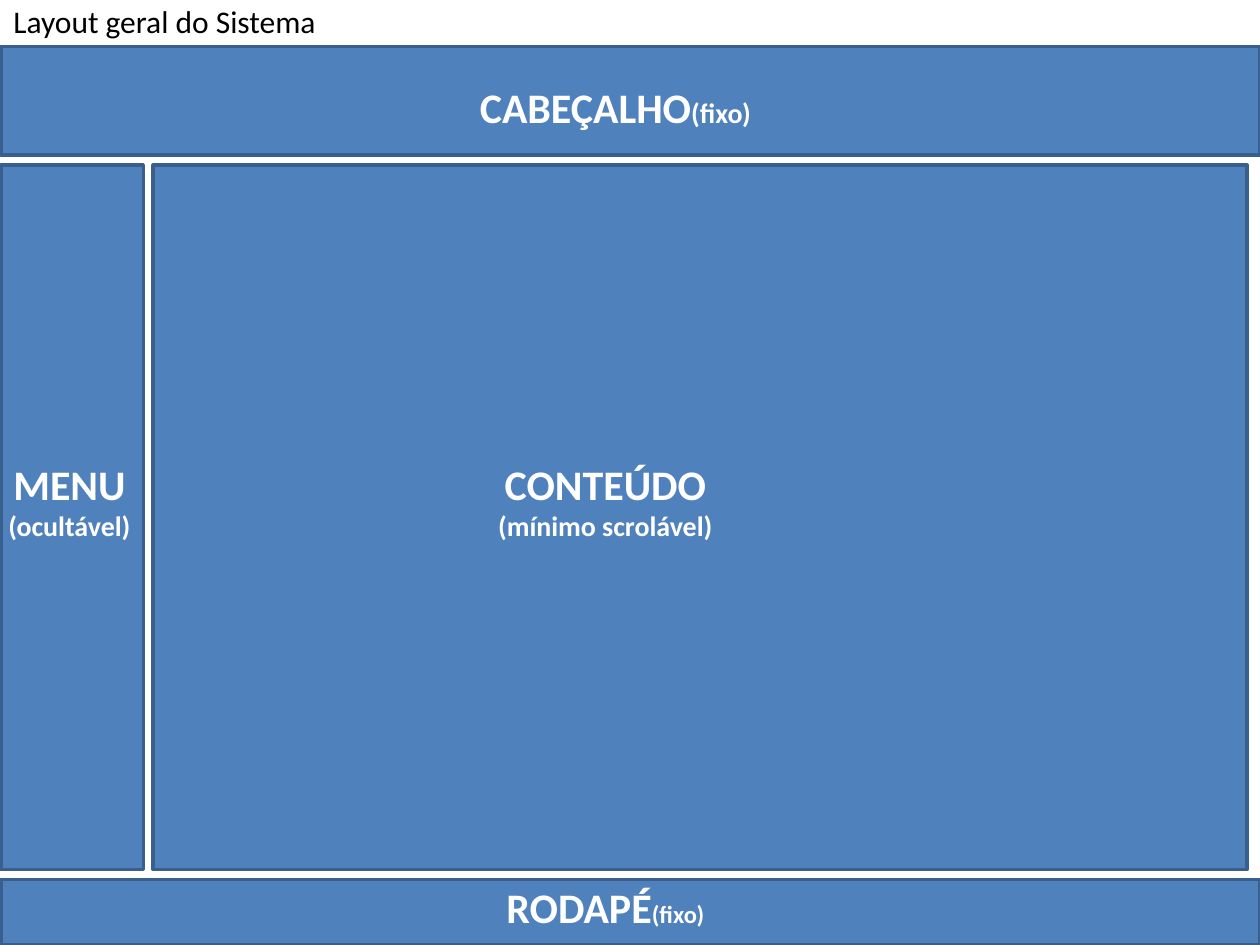
from pptx import Presentation
from pptx.dml.color import RGBColor
from pptx.enum.shapes import MSO_SHAPE as Shape
from pptx.enum.text import MSO_AUTO_SIZE as AutoSize, PP_ALIGN as Align
from pptx.util import Cm, Pt

THEME = {
    "font": "Calibri",
    "fill": RGBColor(0x4F, 0x81, 0xBD),
    "line": RGBColor(0x3A, 0x5F, 0x8C),
    "dark": RGBColor(0, 0, 0),
    "light": RGBColor(255, 255, 255),
    "title": 18,
    "label": 24,
    "note": 16,
    "small_note": 14,
}

deck = Presentation()
deck.slide_width, deck.slide_height = Cm(25.4), Cm(19.05)
page = deck.slides.add_slide(deck.slide_layouts[6])


def add_panel(left, top, width, height):
    """Draw one area of the screen layout, in centimetres."""
    panel = page.shapes.add_shape(
        Shape.RECTANGLE, Cm(left), Cm(top), Cm(width), Cm(height))
    panel.shadow.inherit = False
    panel.fill.solid()
    panel.fill.fore_color.rgb = THEME["fill"]
    panel.line.color.rgb = THEME["line"]
    panel.line.width = Pt(2)


def add_text(left, top, width, height, lines, color, bold=True, align=Align.CENTER):
    """Write lines of (text, size) spans in a box, in centimetres."""
    box = page.shapes.add_textbox(Cm(left), Cm(top), Cm(width), Cm(height))
    frame = box.text_frame
    frame.word_wrap = bold
    frame.auto_size = AutoSize.SHAPE_TO_FIT_TEXT
    for index, line in enumerate(lines):
        para = frame.paragraphs[0] if index == 0 else frame.add_paragraph()
        para.alignment = align
        for text, size in line:
            span = para.add_run()
            span.text = text
            span.font.name = THEME["font"]
            span.font.size = Pt(THEME[size])
            span.font.bold = bold
            span.font.color.rgb = THEME[color]


add_text(0.02, -0.08, 6.68, 1.02, [[("Layout geral do Sistema", "title")]],
         "dark", bold=False, align=Align.LEFT)

edge, gap = 0.02, 0.2
full_width = 25.4 - edge
header_top, header_height = 0.94, 2.19
body_top, body_height = header_top + header_height + gap, 14.2
footer_top = body_top + body_height + gap
menu_width, content_width = 2.87, 22.05

add_panel(edge, header_top, full_width, header_height)
add_panel(edge, footer_top, full_width, 19.05 - footer_top)
add_panel(edge, body_top, menu_width, body_height)
add_panel(edge + menu_width + gap, body_top, content_width, body_height)

one_line, two_lines, label_width = 1.27, 1.96, 7.39
label_left, label_top = 8.51, 9.12
add_text(8.71, 1.52, label_width, one_line,
         [[("CABEÇALHO", "label"), ("(fixo)", "note")]], "light")
add_text(label_left, label_top, label_width, two_lines,
         [[("CONTEÚDO", "label")], [("(mínimo scrolável)", "note")]], "light")
add_text(label_left, 17.65, label_width, one_line,
         [[("RODAPÉ", "label"), ("(fixo)", "small_note")]], "light")
add_text(-0.1, label_top, 3, two_lines,
         [[("MENU", "label")], [("(ocultável)", "note")]], "light")

deck.save("out.pptx")
